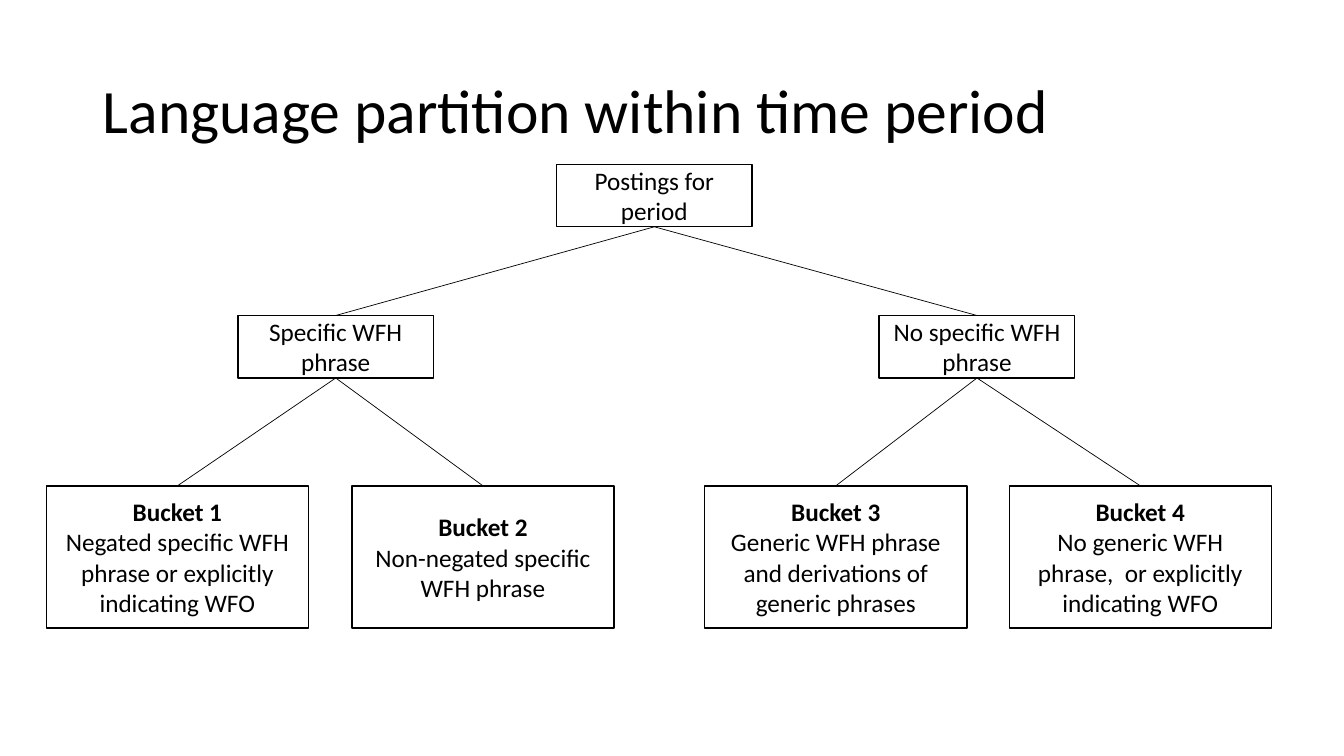
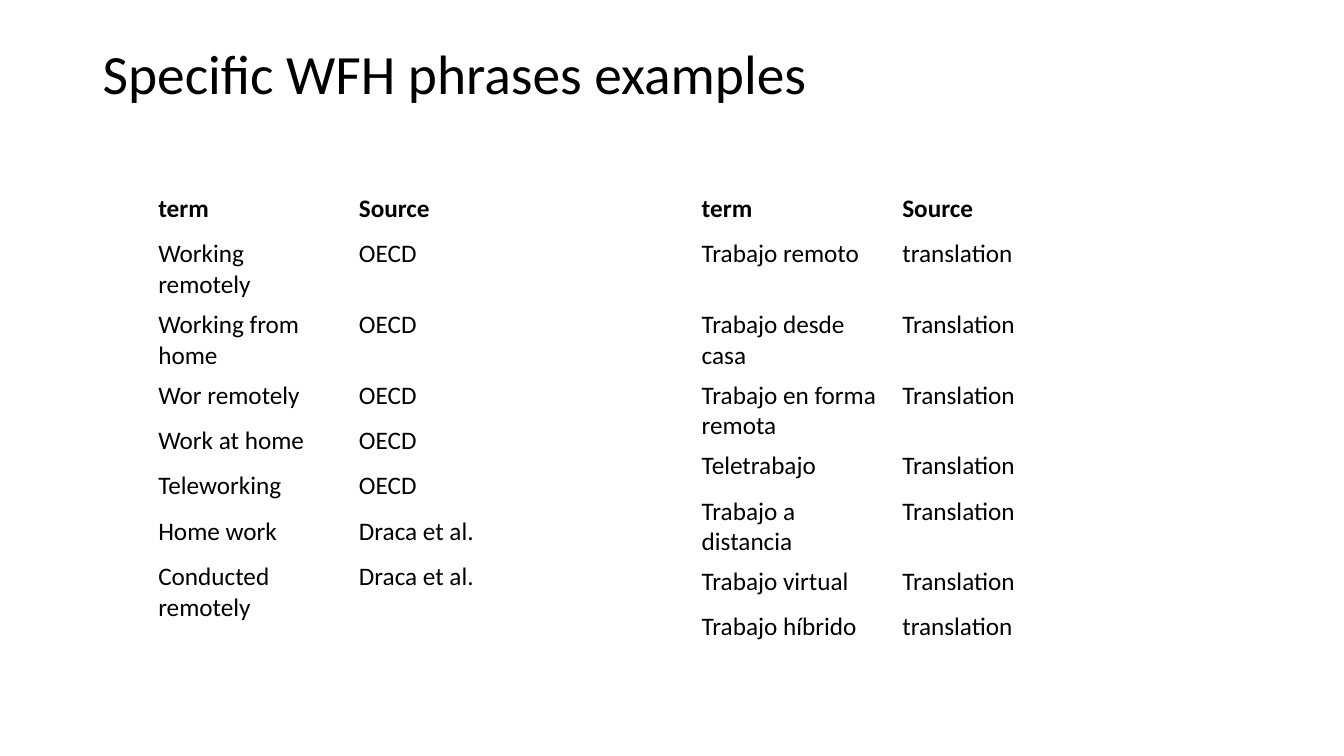
from lxml import etree
from pptx import Presentation
from pptx.dml.color import RGBColor
from pptx.enum.shapes import MSO_CONNECTOR as CONNECTOR, MSO_SHAPE as SHAPE
from pptx.enum.text import MSO_ANCHOR as ANCHOR, PP_ALIGN as ALIGN
from pptx.oxml.ns import qn
from pptx.util import Inches, Pt

# Shared style
BLACK = RGBColor(0x00, 0x00, 0x00)
WHITE = RGBColor(0xFF, 0xFF, 0xFF)
FONT = "Calibri"
BODY_SIZE = 18

presentation = Presentation()
presentation.slide_width = Inches(13.33)
presentation.slide_height = Inches(7.5)
blank_layout = presentation.slide_layouts[6]


def add_run(paragraph, text, size=BODY_SIZE, bold=False):
    run = paragraph.add_run()
    run.text = text
    run.font.name = FONT
    run.font.size = Pt(size)
    run.font.bold = bold
    run.font.color.rgb = BLACK


def add_titled_slide(title, height, size):
    slide = presentation.slides.add_slide(blank_layout)
    box = slide.shapes.add_textbox(Inches(0.92), Inches(0.4), Inches(11.5), Inches(height))
    frame = box.text_frame
    frame.word_wrap = True
    frame.vertical_anchor = ANCHOR.MIDDLE
    frame.paragraphs[0].line_spacing = 0.9
    add_run(frame.paragraphs[0], title, size)
    return slide


# Slide 1: partition tree
slide = add_titled_slide("Language partition within time period", 1.45, 44)

# Each level: top, width, height, then nodes as (left, parent, heading, text)
levels = [
    (1.63, 1.94, 0.62, [(5.52, None, "", "Postings for period")]),
    (3.13, 1.94, 0.62, [
        (2.36, 0, "", "Specific WFH phrase"),
        (8.72, 0, "", "No specific WFH phrase"),
    ]),
    (4.82, 2.6, 1.41, [
        (0.46, 1, "Bucket 1", "Negated specific WFH phrase or explicitly indicating WFO"),
        (3.49, 1, "Bucket 2", "Non-negated specific WFH phrase"),
        (6.99, 2, "Bucket 3", "Generic WFH phrase and derivations of generic phrases"),
        (10.01, 2, "Bucket 4", "No generic WFH phrase,  or explicitly indicating WFO"),
    ]),
]
nodes = []
branches = []
for top, width, height, row in levels:
    for left, parent, heading, text in row:
        node = slide.shapes.add_shape(
            SHAPE.RECTANGLE, Inches(left), Inches(top), Inches(width), Inches(height))
        node.shadow.inherit = False
        node.fill.solid()
        node.fill.fore_color.rgb = WHITE
        node.line.color.rgb = BLACK
        node.line.width = Pt(1)
        frame = node.text_frame
        frame.word_wrap = True
        frame.vertical_anchor = ANCHOR.MIDDLE
        paragraph = frame.paragraphs[0]
        if heading:
            paragraph.alignment = ALIGN.CENTER
            add_run(paragraph, heading, bold=True)
            paragraph = frame.add_paragraph()
        paragraph.alignment = ALIGN.CENTER
        add_run(paragraph, text)
        if parent is not None:
            branches.append((nodes[parent], node))
        nodes.append(node)

# Branches run from the bottom (site 2) of a parent to the top (site 0) of a child
for parent, child in branches:
    branch = slide.shapes.add_connector(CONNECTOR.STRAIGHT, 0, 0, 0, 0)
    branch.begin_connect(parent, 2)
    branch.end_connect(child, 0)
    branch.line.color.rgb = BLACK
    branch.line.width = Pt(0.5)
    etree.SubElement(branch.element.spPr, qn("a:effectLst"))

# Slide 2: phrase tables
slide = add_titled_slide("Specific WFH phrases examples", 0.72, 39.6)

HEADER = ("term", "Source")
COLUMN_WIDTH = 1.99
ROW_HEIGHT, TALL_ROW_HEIGHT = 0.45, 0.7

english_phrases = [
    HEADER,
    ("Working remotely", "OECD"),
    ("Working from home", "OECD"),
    ("Wor remotely", "OECD"),
    ("Work at home", "OECD"),
    ("Teleworking", "OECD"),
    ("Home work", "Draca et al."),
    ("Conducted remotely", "Draca et al."),
]
spanish_phrases = [
    HEADER,
    ("Trabajo remoto", "translation"),
    ("Trabajo desde casa", "Translation"),
    ("Trabajo en forma remota", "Translation"),
    ("Teletrabajo", "Translation"),
    ("Trabajo a distancia", "Translation"),
    ("Trabajo virtual", "Translation"),
    ("Trabajo híbrido", "translation"),
]
# Left edge, rows, and the indexes of the tall rows
phrase_tables = [
    (1.47, english_phrases, {1, 2, 7}),
    (6.86, spanish_phrases, {1, 2, 3, 5, 7}),
]
for left, phrases, tall_rows in phrase_tables:
    heights = [TALL_ROW_HEIGHT if index in tall_rows else ROW_HEIGHT
               for index in range(len(phrases))]
    table = slide.shapes.add_table(
        len(phrases), len(HEADER), Inches(left), Inches(1.87),
        Inches(COLUMN_WIDTH * len(HEADER)), Inches(sum(heights))).table
    table.horz_banding = False
    for column in table.columns:
        column.width = Inches(COLUMN_WIDTH)
    for row_index, values in enumerate(phrases):
        table.rows[row_index].height = Inches(heights[row_index])
        for column_index, value in enumerate(values):
            cell = table.cell(row_index, column_index)
            cell.fill.background()
            add_run(cell.text_frame.paragraphs[0], value, bold=row_index == 0)

presentation.save("out.pptx")
